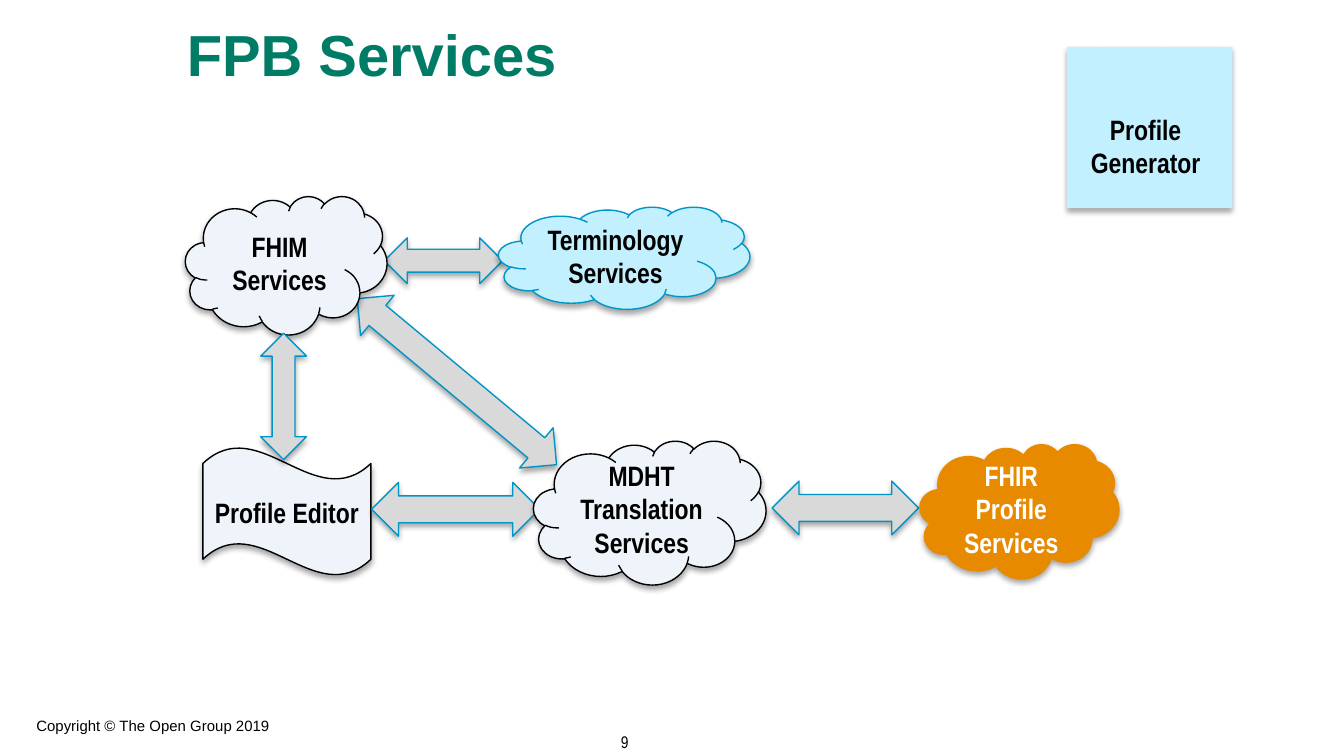
import pptx
import pptx.util
import pptx.dml.color
import pptx.enum.shapes
import pptx.enum.text
import lxml.etree

Inches = pptx.util.Inches
RGBColor = pptx.dml.color.RGBColor
Shape = pptx.enum.shapes.MSO_SHAPE
Align = pptx.enum.text.PP_ALIGN

BLACK = RGBColor(0x00, 0x00, 0x00)
WHITE = RGBColor(0xFF, 0xFF, 0xFF)
GREEN = RGBColor(0x00, 0x7C, 0x66)
BLUE = RGBColor(0x00, 0x95, 0xC7)
GREY = RGBColor(0xD9, 0xD9, 0xD9)
PALE = RGBColor(0xEE, 0xF4, 0xF9)
SKY = RGBColor(0xC2, 0xF0, 0xFF)
ORANGE = RGBColor(0xE7, 0x8A, 0x00)

DRAWING_NS = "http://schemas.openxmlformats.org/drawingml/2006/main"
SHADOW_XML = (
    f'<a:effectLst xmlns:a="{DRAWING_NS}">'
    '<a:outerShdw blurRad="38100" dist="22860" dir="5400000" rotWithShape="0">'
    '<a:srgbClr val="000000"><a:alpha val="35000"/></a:srgbClr>'
    "</a:outerShdw></a:effectLst>"
)


def write_text(frame, text, size=15, font="Arial Narrow", color=BLACK,
               bold=False, align=Align.LEFT, inset=0, wrap=True):
    """Fill a text frame, one paragraph for each line of text."""
    frame.word_wrap = wrap
    frame.auto_size = pptx.enum.text.MSO_AUTO_SIZE.NONE
    frame.vertical_anchor = pptx.enum.text.MSO_ANCHOR.MIDDLE
    frame.margin_left = frame.margin_right = Inches(inset)
    frame.margin_top = frame.margin_bottom = Inches(inset)
    for index, line in enumerate(text.split("\n")):
        para = frame.paragraphs[0] if index == 0 else frame.add_paragraph()
        para.alignment = align
        span = para.add_run()
        span.text = line
        span.font.name = font
        span.font.size = pptx.util.Pt(size)
        span.font.bold = bold
        span.font.color.rgb = color


def add_text(slide, place, text, **text_format):
    box = slide.shapes.add_textbox(*map(Inches, place))
    write_text(box.text_frame, text, **text_format)


def add_label(slide, place, text, color=BLACK):
    add_text(slide, place, text, color=color, bold=True,
             align=Align.CENTER, inset=0.05)


def add_figure(slide, kind, place, fill, line=None):
    """Add a filled preset shape with a soft shadow below it."""
    figure = slide.shapes.add_shape(kind, *map(Inches, place))
    figure.fill.solid()
    figure.fill.fore_color.rgb = fill
    if line is None:
        figure.line.fill.background()
    else:
        figure.line.color.rgb = line
        figure.line.width = pptx.util.Pt(0.75)
    figure._element.spPr.append(lxml.etree.fromstring(SHADOW_XML))
    return figure


def add_arrow(slide, center_x, center_y, length, breadth, rotation=0):
    place = (center_x - length / 2, center_y - breadth / 2, length, breadth)
    arrow = add_figure(slide, Shape.LEFT_RIGHT_ARROW, place, GREY, BLUE)
    arrow.rotation = rotation


def add_title(slide, text):
    title = slide.shapes.title
    title.left, title.top = Inches(1.39), Inches(0.04)
    title.width, title.height = Inches(7.5), Inches(0.72)
    write_text(title.text_frame, text, size=31, font="Arial", color=GREEN,
               bold=True)


def main():
    deck = pptx.Presentation()
    deck.slide_width = Inches(10)
    deck.slide_height = deck.slide_width * 9 // 16
    page = deck.slides.add_slide(deck.slide_layouts[5])

    add_text(page, (0.27, 5.33, 2.85, 0.14), "Copyright © The Open Group 2019",
             size=8, font="Arial")
    add_title(page, "FPB Services")

    add_arrow(page, 3.4, 2.84, 1.93, 0.39, rotation=39.8)
    add_arrow(page, 3.3, 1.94, 0.88, 0.34)
    add_figure(page, Shape.CLOUD, (1.38, 1.46, 1.5, 1.03), PALE, BLACK)
    add_label(page, (1.59, 1.67, 0.98, 0.57), "FHIM\nServices")

    add_figure(page, Shape.WAVE, (1.51, 3.33, 1.25, 0.95), PALE, BLACK)
    add_label(page, (1.51, 3.64, 1.25, 0.34), "Profile Editor")
    add_arrow(page, 2.11, 2.95, 0.94, 0.34, rotation=90)

    add_figure(page, Shape.CLOUD, (3.71, 1.54, 1.87, 0.76), SKY, BLUE)
    add_label(page, (3.97, 1.62, 1.22, 0.57), "Terminology Services")

    add_arrow(page, 3.39, 3.79, 1.25, 0.4)
    add_figure(page, Shape.CLOUD, (3.97, 3.28, 1.73, 1.07), PALE, BLACK)
    add_label(page, (4.21, 3.38, 1.13, 0.81), "MDHT\nTranslation Services")

    add_arrow(page, 6.29, 3.78, 1.09, 0.4)
    add_figure(page, Shape.CLOUD, (6.84, 3.3, 1.49, 1.01), ORANGE)
    add_label(page, (7.04, 3.38, 0.97, 0.81), "FHIR\nProfile\nServices", WHITE)

    add_text(page, (4.62, 5.45, 0.14, 0.14), "9", size=9, wrap=False)
    add_figure(page, Shape.RECTANGLE, (7.94, 0.35, 1.23, 1.2), SKY)
    add_label(page, (7.91, 0.8, 1.23, 0.57), "Profile Generator")

    deck.save("out.pptx")


if __name__ == "__main__":
    main()
